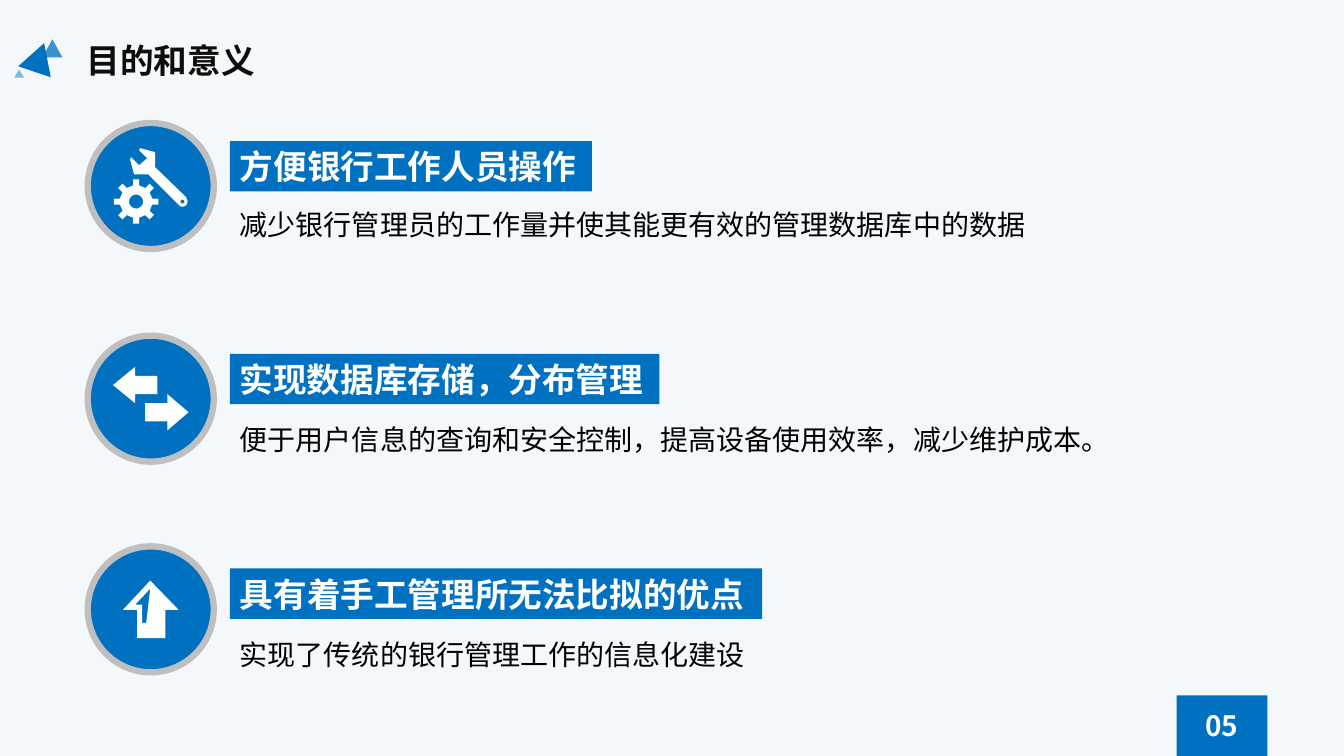
import math

import pptx
import pptx.dml.color
import pptx.enum.shapes
import pptx.enum.text
import pptx.oxml
import pptx.oxml.ns
import pptx.util

Inches = pptx.util.Inches
SHAPE = pptx.enum.shapes.MSO_SHAPE
ANCHOR = pptx.enum.text.MSO_ANCHOR
ALIGN = pptx.enum.text.PP_ALIGN

COLORS = {
    "background": "F5F8FB",
    "blue": "0070C0",
    "ring": "BFBFBF",
    "white": "FFFFFF",
    "title": "0D0D0D",
    "body": "000000",
}
CJK_FONT = "Noto Sans CJK SC"
BADGE_SIZE = 1.25


def rgb(name):
    return pptx.dml.color.RGBColor.from_string(COLORS[name])


def style_shape(sp, fill, alpha=None):
    """Give a flat fill without line or shadow; alpha is a percentage."""
    sp.shadow.inherit = False
    sp.fill.solid()
    sp.fill.fore_color.rgb = rgb(fill)
    sp.line.fill.background()
    if alpha is not None:
        color = sp.fill._xPr.find(".//" + pptx.oxml.ns.qn("a:srgbClr"))
        color.append(pptx.oxml.parse_xml(
            f'<a:alpha {pptx.oxml.ns.nsdecls("a")} val="{alpha * 1000}"/>'))


def add_shape(slide, kind, box, fill="blue", alpha=None):
    sp = slide.shapes.add_shape(kind, *map(Inches, box))
    style_shape(sp, fill, alpha)
    return sp


def write_text(sp, text, size, color, font="Calibri", bold=False,
               align=ALIGN.LEFT, anchor=ANCHOR.TOP, spacing=None):
    tf = sp.text_frame
    tf.word_wrap = True
    tf.vertical_anchor = anchor
    p = tf.paragraphs[0]
    p.alignment = align
    p.line_spacing = spacing
    r = p.add_run()
    r.text = text
    r.font.size = pptx.util.Pt(size)
    r.font.name = font
    r.font.bold = bold
    r.font.color.rgb = rgb(color)
    r.font._element.append(pptx.oxml.parse_xml(
        f'<a:ea {pptx.oxml.ns.nsdecls("a")} typeface="{CJK_FONT}"/>'))


def arc(cx, cy, radius, start=0, end=360, steps=16):
    angles = [math.radians(start + (end - start) * i / steps) for i in range(steps + 1)]
    return [(cx + radius * math.cos(a), cy + radius * math.sin(a)) for a in angles]


def gear_outline(cx, cy, teeth=8, root=0.16, tip=0.22, half_width=0.03):
    points = []
    for i in range(teeth):
        a = 2 * math.pi * i / teeth
        for x, y in [(root, -half_width), (tip, -half_width),
                     (tip, half_width), (root, half_width)]:
            points.append((cx + x * math.cos(a) - y * math.sin(a),
                           cy + x * math.sin(a) + y * math.cos(a)))
    return points


# Each icon is a list of outlines, each a list of contours in badge coordinates.
GEAR = [gear_outline(0.48, 0.78), arc(0.48, 0.78, 0.07)]
WRENCH = [
    [(0.98, 0.74), (0.67, 0.44), (0.67, 0.29), (0.52, 0.25), (0.51, 0.27),
     (0.59, 0.35), (0.51, 0.42), (0.43, 0.34), (0.42, 0.36), (0.46, 0.51),
     (0.6, 0.51)] + arc(0.94, 0.78, 0.05, 135, -45),
    arc(0.94, 0.78, 0.02),
]
LEFT_RIGHT_ARROWS = [
    [(0.69, 0.58), (0.47, 0.58), (0.47, 0.67), (0.25, 0.49),
     (0.47, 0.31), (0.47, 0.4), (0.69, 0.4)],
    [(0.57, 0.85), (0.79, 0.85), (0.79, 0.94), (1, 0.76),
     (0.79, 0.58), (0.79, 0.67), (0.57, 0.67)],
]
UP_ARROW = [
    [(0.49, 0.91), (0.49, 0.63), (0.35, 0.63), (0.62, 0.34),
     (0.9, 0.63), (0.77, 0.63), (0.77, 0.91)],
    [(0.62, 0.42), (0.47, 0.58), (0.54, 0.58), (0.54, 0.76), (0.58, 0.76)],
]

# Icon, heading, banner width, description, then badge, banner and text tops.
PURPOSES = [
    ([GEAR, WRENCH], "方便银行工作人员操作", 3.59,
     "减少银行管理员的工作量并使其能更有效的管理数据库中的数据", 1.22, 1.4, 1.93),
    ([LEFT_RIGHT_ARROWS], "实现数据库存储，分布管理", 4.26,
     "便于用户信息的查询和安全控制，提高设备使用效率，减少维护成本。", 3.33, 3.51, 4.06),
    ([UP_ARROW], "具有着手工管理所无法比拟的优点", 5.28,
     "实现了传统的银行管理工作的信息化建设", 5.42, 5.64, 6.19),
]


def add_outline(slide, contours, left, top):
    placed = [[(Inches(left + x), Inches(top + y)) for x, y in contour]
              for contour in contours]
    builder = slide.shapes.build_freeform(*placed[0][0])
    for i, contour in enumerate(placed):
        if i:
            builder.move_to(*contour[0])
        builder.add_line_segments(contour[1:], close=True)
    style_shape(builder.convert_to_shape(), "white")


def add_badge(slide, left, top, icon):
    ring = add_shape(slide, SHAPE.OVAL, (left, top, BADGE_SIZE, BADGE_SIZE))
    ring.line.color.rgb = rgb("ring")
    ring.line.width = pptx.util.Pt(4.5)
    for contours in icon:
        add_outline(slide, contours, left, top)


def add_purpose(slide, left, purpose):
    icon, heading, width, description, badge_top, banner_top, text_top = purpose
    add_badge(slide, left, badge_top, icon)
    text_left = left + 1.41
    banner = add_shape(slide, SHAPE.RECTANGLE, (text_left, banner_top, width, 0.5))
    write_text(banner, heading, 24, "white", bold=True, anchor=ANCHOR.MIDDLE)
    box = slide.shapes.add_textbox(*map(Inches, (text_left, text_top, 10.29, 0.5)))
    write_text(box, description, 20, "body", spacing=1.25)


def add_title(slide, left, top):
    """Place the title and the triangle mark to its left."""
    title = slide.shapes.title
    title.left, title.top, title.width, title.height = map(
        Inches, (left + 0.62, top, 4.68, 0.5))
    write_text(title, "目的和意义", 24, "title", font=CJK_FONT, bold=True,
               anchor=ANCHOR.MIDDLE)
    for x, y, width, height, turn, alpha in [
        (0.28, 0.04, 0.2, 0.18, 0, 75),
        (0.08, 0.07, 0.34, 0.3, 18.5, None),
        (0, 0.34, 0.1, 0.08, 0, 47),
    ]:
        sp = add_shape(slide, SHAPE.ISOSCELES_TRIANGLE,
                       (left + x, top + y, width, height), alpha=alpha)
        sp.rotation = turn


def add_page_number(slide, left, top, width, height):
    tab = add_shape(slide, SHAPE.RECTANGLE, (left, top, width, height))
    write_text(tab, "05", 20, "white", font=CJK_FONT, bold=True,
               align=ALIGN.CENTER, anchor=ANCHOR.MIDDLE)


def main():
    prs = pptx.Presentation()
    prs.slide_width, prs.slide_height = Inches(13.33), Inches(7.5)
    slide = prs.slides.add_slide(prs.slide_layouts[5])
    slide.background.fill.solid()
    slide.background.fill.fore_color.rgb = rgb("background")
    add_title(slide, 0.14, 0.35)
    for purpose in PURPOSES:
        add_purpose(slide, 0.87, purpose)
    add_page_number(slide, 11.67, 6.9, 0.9, 0.6)
    prs.save("out.pptx")


if __name__ == "__main__":
    main()
